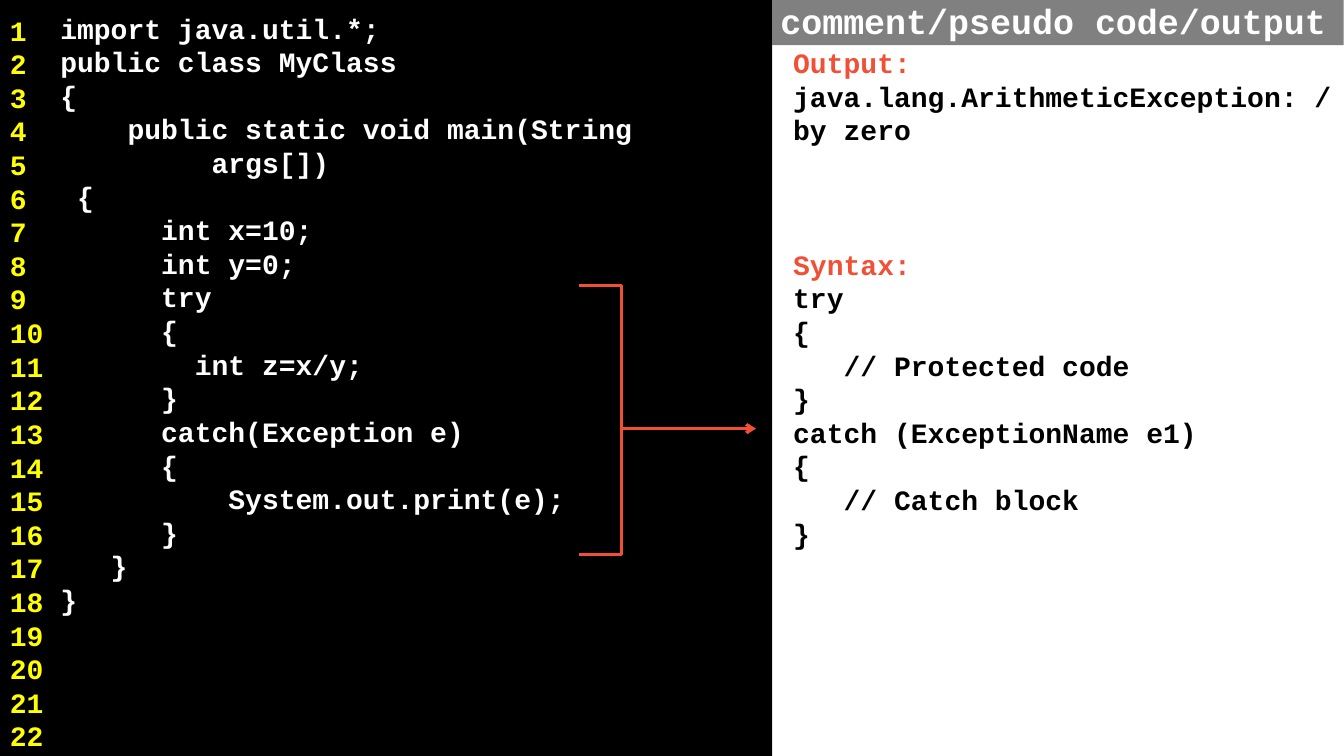
from pptx import Presentation
from pptx.dml.color import RGBColor as RGB
from pptx.enum.shapes import MSO_CONNECTOR as LINE, MSO_SHAPE as SHAPE
from pptx.enum.text import MSO_ANCHOR as ANCHOR, PP_ALIGN as ALIGN
from pptx.oxml.ns import qn
from pptx.util import Cm, Pt
from lxml.etree import SubElement as Sub

COLORS = {
    "black": "000000",
    "white": "FFFFFF",
    "gray": "808080",
    "yellow": "FFFF00",
    "red": "F05136",
}

CODE = """import java.util.*;
public class MyClass
{
    public static void main(String\v         args[])
 {
      int x=10;
      int y=0;
      try
      {
        int z=x/y;
      }
      catch(Exception e)
      {
          System.out.print(e);
      }
   }
}"""

NOTES = """Output:
java.lang.ArithmeticException: / by zero
Syntax:
try
{
   // Protected code
}
catch (ExceptionName e1)
{
   // Catch block
}"""


class Page:
    font = "Courier New"
    size = 20
    stroke = 2.25

    def __init__(self, slide):
        self.slide = slide

    def color(self, name):
        return RGB.from_string(COLORS[name])

    def shape(self, kind, box):
        item = self.slide.shapes.add_shape(kind, *map(Cm, box))
        item.shadow.inherit = False
        return item

    def panel(self, box, fill, alpha=None):
        item = self.shape(SHAPE.RECTANGLE, box)
        item.fill.solid()
        item.fill.fore_color.rgb = self.color(fill)
        item.line.fill.background()
        if alpha:
            tint = item.element.spPr.find(qn("a:solidFill"))[0]
            Sub(tint, qn("a:alpha"), val=str(alpha * 1000))
        return item

    def label(self, item, text, color, inset, size=None,
              align=ALIGN.LEFT, anchor=ANCHOR.TOP):
        frame = item.text_frame
        frame.word_wrap = True
        frame.vertical_anchor = anchor
        (frame.margin_left, frame.margin_top,
         frame.margin_right, frame.margin_bottom) = map(Cm, inset)
        frame.text = text
        for para in frame.paragraphs:
            para.alignment = align
            para.font.name = self.font
            para.font.size = Pt(size or self.size)
            para.font.bold = True
            para.font.color.rgb = self.color(color)
        return frame.paragraphs

    def ink(self, line, color):
        line.color.rgb = self.color(color)
        line.width = Pt(self.stroke)

    def bracket(self, box, color):
        item = self.shape(SHAPE.RIGHT_BRACKET, box)
        item.adjustments[0] = 0
        item.fill.background()
        self.ink(item.line, color)

    def arrow(self, ends, color):
        item = self.slide.shapes.add_connector(LINE.STRAIGHT, *map(Cm, ends))
        self.ink(item.line, color)
        props = item.element.spPr
        Sub(props.find(qn("a:ln")), qn("a:tailEnd"), type="arrow")
        Sub(props, qn("a:effectLst"))


def main():
    deck = Presentation()
    deck.slide_width, deck.slide_height = Cm(33.87), Cm(19.05)
    page = Page(deck.slides.add_slide(deck.slide_layouts[6]))

    # Code listing
    code = page.panel((0, 0, 19.46, 19.05), "black")
    page.label(code, CODE, "white", (1.52, 0.28, 0.25, 2.54))

    # Line numbers
    page.panel((0, 0, 1.47, 0.2), "black", 68)
    gutter = page.panel((0, 0.2, 1.47, 18.85), "black", 68)
    count = "\n".join(str(n) for n in range(1, 23))
    page.label(gutter, count, "yellow", (0.25, 0.13, 0.25, 2.54))

    # Output and syntax
    notes = page.panel((19.48, 1.02, 14.4, 18.03), "white")
    paras = page.label(notes, NOTES, "black", (0.51, 0.13, 0, 0))
    output, syntax = paras[0], paras[2]
    for head in (output, syntax):
        head.font.color.rgb = page.color("red")
    syntax.space_before = Pt(72)

    # Header
    header = page.panel((19.46, 0, 14.4, 1.14), "gray")
    page.label(header, "comment/pseudo code/output", "white",
               (0, 0.13, 0.25, 0.25), 25, ALIGN.CENTER, ANCHOR.MIDDLE)

    # Link from the try-catch lines to the syntax
    page.bracket((14.6, 7.19, 1.07, 6.78), "red")
    page.arrow((15.67, 10.8, 19.05, 10.8), "red")

    deck.save("out.pptx")


if __name__ == "__main__":
    main()
